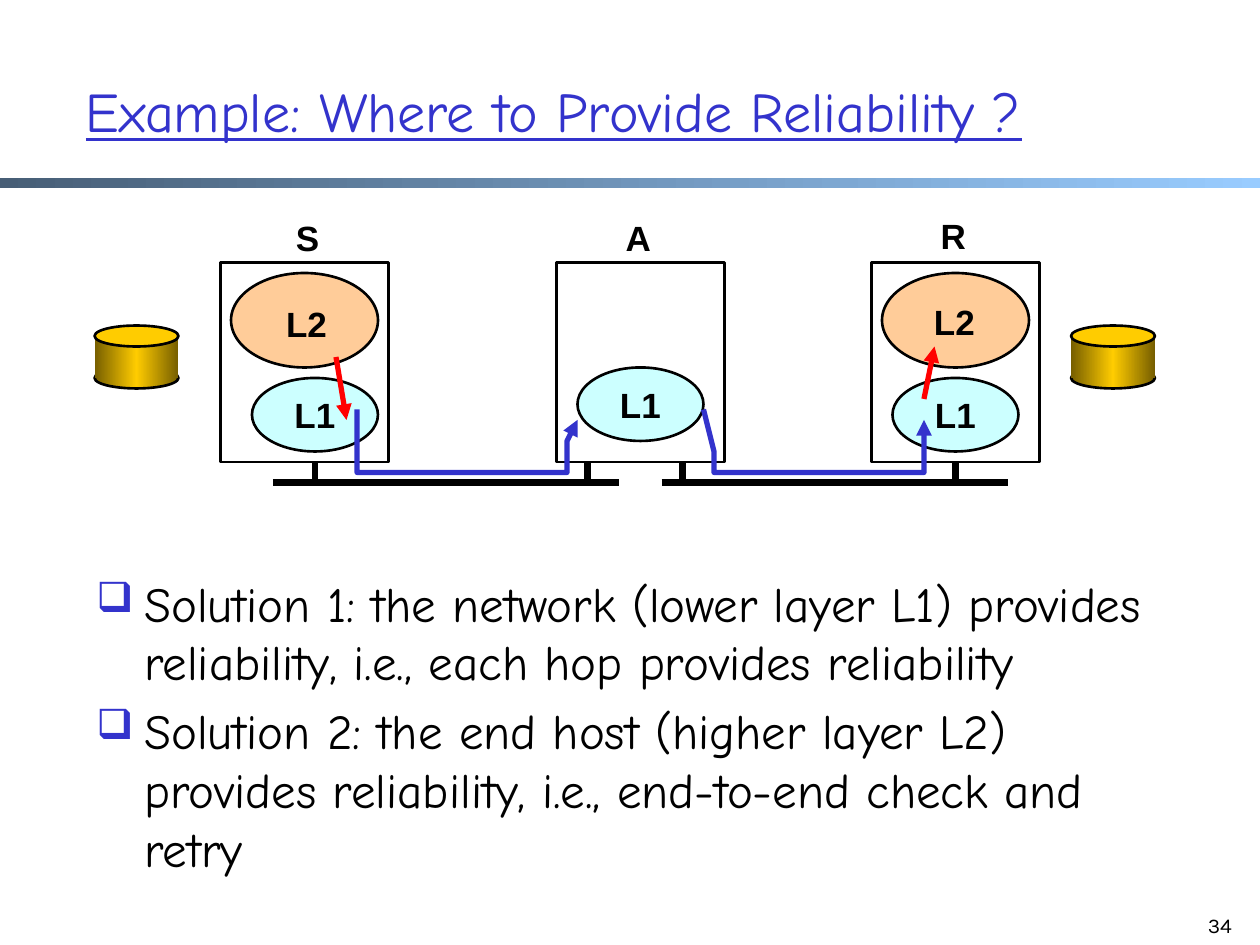
from copy import deepcopy
from dataclasses import dataclass

from lxml.etree import SubElement
from pptx import Presentation
from pptx.dml.color import RGBColor
from pptx.enum.shapes import MSO_CONNECTOR, MSO_SHAPE
from pptx.enum.text import MSO_ANCHOR, PP_ALIGN
from pptx.oxml.ns import qn
from pptx.util import Inches, Pt

# Content. All lengths are cells of a 120 x 90 grid (12 cells to the inch).
TITLE = "Example: Where to Provide Reliability ?"
BULLETS = [
    "Solution 1: the network (lower layer L1) provides reliability, "
    "i.e., each hop provides reliability",
    "Solution 2: the end host (higher layer L2) provides reliability, "
    "i.e., end-to-end check and retry",
]
PAGE = "34"
# name, name centre, name top, box left, L1 (left, top), L2 left, L2 text centre
NODES = [
    ("S", 29.3, 20, 21, (24, 36), 22, (29.2, 28.2)),
    ("A", 60.8, 20, 53, (55, 35), None, None),
    ("R", 90.8, 19.8, 83, (85, 36), 84, (90.9, 28)),
]
DISKS = [9, 102]
LINKS = [(26, 59), (63, 96)]
PLUGS = [30, 56, 65, 91]
HANDOVERS = [((32, 34), (33, 40)), ((88, 38), (89, 33))]
HOPS = [34, 67]
HOP_SHAPE = [(0, 0), (0.5, 4), (0.5, 6), (20.5, 6), (20.5, 3), (21, 0.5)]
HOP_TOP, BOX_TOP, BOX_BOTTOM, LINK_Y = 39, 25, 44, 46


@dataclass(frozen=True)
class Theme:
    ink: str = "000000"
    accent: str = "3333CC"
    high: str = "FFCC99"
    low: str = "CCFFFF"
    gold: str = "FFCC00"
    dark_gold: str = "765E00"
    bar_from: str = "475E76"
    bar_to: str = "99CCFF"
    handover: str = "FF0000"
    body_font: str = "Comic Neue"
    label_font: str = "Arial"
    page_font: str = "Karla"
    title_size: int = 32
    body_size: int = 28
    label_size: int = 20
    page_size: int = 12
    outline: float = 1.5
    arrow: int = 3
    cable: int = 4


T = Theme()
GOLD = (T.dark_gold, T.gold, T.dark_gold)
CELL = Inches(1) // 12

prs = Presentation()
prs.slide_width, prs.slide_height = 120 * CELL, 90 * CELL
s = prs.slides.add_slide(prs.slide_layouts[6])


def grid(*cells):
    return [round(c * CELL) for c in cells]


def rgb(value):
    return RGBColor.from_string(value)


def put_text(sp, *texts, size=T.label_size, font=T.label_font, color=T.ink,
             bold=False, underline=None, align=PP_ALIGN.CENTER,
             anchor=MSO_ANCHOR.TOP, wrap=False, bullet=None):
    tf = sp.text_frame
    tf.word_wrap, tf.vertical_anchor = wrap, anchor
    for i, text in enumerate(texts):
        p = tf.add_paragraph() if i else tf.paragraphs[0]
        p.alignment = align
        r = p.add_run()
        r.text = text
        r.font.size, r.font.name = Pt(size), font
        r.font.bold, r.font.underline = bold, underline
        r.font.color.rgb = rgb(color)
        if bullet:
            p.space_before = Pt(size * 0.2)
            add_bullet(p, bullet)


def add_bullet(p, char):
    pPr = p._p.get_or_add_pPr()
    indent = Inches(0.38)
    pPr.set("marL", str(indent))
    pPr.set("indent", str(-indent))
    color = SubElement(pPr, qn("a:buClr"))
    SubElement(color, qn("a:srgbClr"), val=T.accent)
    SubElement(pPr, qn("a:buSzPct"), val="85000")
    SubElement(pPr, qn("a:buChar"), char=char)


def text_box(x, y, w, h, *texts, **fmt):
    put_text(s.shapes.add_textbox(*grid(x, y, w, h)), *texts, **fmt)


def label(text, center, top):
    text_box(center - 4, top, 8, 5.2, text, bold=True)


def shape(kind, x, y, w, h, fill=None, outline=True):
    """Add a preset shape; a tuple as fill gives evenly spaced gradient stops."""
    sp = s.shapes.add_shape(kind, *grid(x, y, w, h))
    sp.shadow.inherit = False
    if fill is None:
        sp.fill.background()
    elif isinstance(fill, tuple):
        sp.fill.gradient()
        sp.fill.gradient_angle = 0
        stop_list = sp._element.spPr.find(".//" + qn("a:gsLst"))
        for _ in fill[2:]:
            stop_list.append(deepcopy(stop_list[0]))
        for i, (stop, color) in enumerate(zip(sp.fill.gradient_stops, fill)):
            stop.color.rgb = rgb(color)
            stop.position = i / (len(fill) - 1)
    else:
        sp.fill.solid()
        sp.fill.fore_color.rgb = rgb(fill)
    if outline:
        stroke(sp, T.ink, T.outline)
    else:
        sp.line.fill.background()
    return sp


def stroke(sp, color, width, arrow=False):
    sp.line.color.rgb = rgb(color)
    sp.line.width = Pt(width)
    if arrow:
        SubElement(sp.line._get_or_add_ln(), qn("a:tailEnd"), type="triangle")


def line(start, end, color=T.ink, width=T.cable, arrow=False):
    c = s.shapes.add_connector(MSO_CONNECTOR.STRAIGHT, *grid(*start, *end))
    stroke(c, color, width, arrow)
    SubElement(c._element.spPr, qn("a:effectLst"))


def disk(x):
    shape(MSO_SHAPE.OVAL, x, 35, 8, 2, GOLD)
    shape(MSO_SHAPE.RECTANGLE, x, 32, 8, 4, GOLD, outline=False)
    shape(MSO_SHAPE.OVAL, x, 31, 8, 2, T.gold)


def hop(x):
    points = [(x + dx, HOP_TOP + dy) for dx, dy in HOP_SHAPE]
    builder = s.shapes.build_freeform(*points[0], scale=CELL)
    builder.add_line_segments(points[1:], close=False)
    sp = builder.convert_to_shape()
    sp.shadow.inherit = False
    sp.fill.background()
    stroke(sp, T.accent, T.arrow, arrow=True)


shape(MSO_SHAPE.RECTANGLE, 0, 16.92, 120, 1, (T.bar_from, T.bar_to), outline=False)
text_box(7, 3, 108, 15, TITLE, size=T.title_size, font=T.body_font, color=T.accent,
         underline=True, align=PP_ALIGN.LEFT, anchor=MSO_ANCHOR.MIDDLE, wrap=True)
text_box(8, 54, 102, 29, *BULLETS, size=T.body_size, font=T.body_font,
         align=PP_ALIGN.LEFT, wrap=True, bullet="❑")
text_box(112.5, 86.3, 6, 6, PAGE, size=T.page_size, font=T.page_font,
         align=PP_ALIGN.RIGHT, wrap=True)

for x in DISKS:
    disk(x)
for name, center, top, left, low, high, high_text in NODES:
    if high is not None:
        shape(MSO_SHAPE.OVAL, high, 26, 14, 9, T.high)
    shape(MSO_SHAPE.RECTANGLE, left, BOX_TOP, 16, BOX_BOTTOM - BOX_TOP)
    oval = shape(MSO_SHAPE.OVAL, *low, 12, 7, T.low)
    put_text(oval, "L1", bold=True, anchor=MSO_ANCHOR.MIDDLE)
    label(name, center, top)
    if high_text:
        label("L2", *high_text)
for x1, x2 in LINKS:
    line((x1, LINK_Y), (x2, LINK_Y))
for x in PLUGS:
    line((x, BOX_BOTTOM), (x, LINK_Y))
for start, end in HANDOVERS:
    line(start, end, T.handover, T.arrow, arrow=True)
for x in HOPS:
    hop(x)

prs.save("out.pptx")
